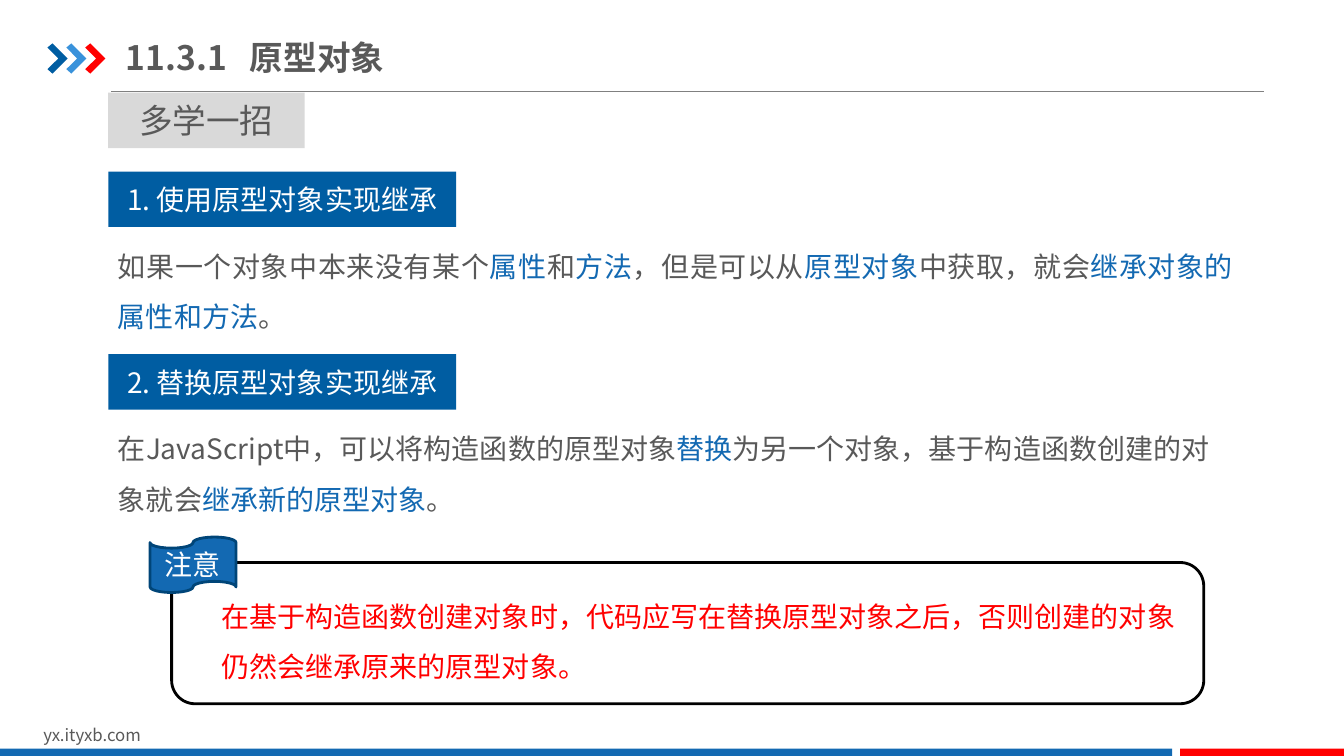
import pptx
import pptx.dml.color
import pptx.enum.shapes
import pptx.enum.text
import pptx.oxml.ns
import pptx.util
from dataclasses import dataclass
from lxml import etree

Pt = pptx.util.Pt
SHAPE = pptx.enum.shapes.MSO_SHAPE
ALIGN = pptx.enum.text.PP_ALIGN
ANCHOR = pptx.enum.text.MSO_ANCHOR
AUTO = pptx.enum.text.MSO_AUTO_SIZE


@dataclass(frozen=True)
class Theme:
    font: str = "Noto Sans CJK SC"
    title: int = 24
    body: int = 20
    footer: int = 12
    ink: str = "595959"
    blue: str = "1369B2"
    deep: str = "005DA2"
    sky: str = "3992DB"
    navy: str = "004578"
    red: str = "FF0000"
    gray: str = "D9D9D9"
    rule: str = "808080"
    white: str = "FFFFFF"
    black: str = "000000"


def rgb(value):
    return pptx.dml.color.RGBColor.from_string(value)


def set_formats(target, formats):
    for name, value in formats.items():
        setattr(target, name, value)


def add_element(parent, tag, **attributes):
    return etree.SubElement(parent, pptx.oxml.ns.qn(tag), attributes)


class SlideBuilder:
    def __init__(self, prs, theme):
        self.theme = theme
        self.s = prs.slides.add_slide(prs.slide_layouts[6])

    def paint(self, sp, fill=None, line=None, width=2):
        sp.shadow.inherit = False
        if fill:
            sp.fill.solid()
            sp.fill.fore_color.rgb = rgb(fill)
        else:
            sp.fill.background()
        if line:
            sp.line.color.rgb = rgb(line)
            sp.line.width = Pt(width)
        else:
            sp.line.fill.background()

    def fill_text(self, sp, text, size, color, bold=None, tab=None, frame=None, **paragraph):
        tf = sp.text_frame
        set_formats(tf, {"word_wrap": True, **(frame or {})})
        p = tf.paragraphs[0]
        set_formats(p, paragraph)
        if tab:
            tabs = add_element(p._p.get_or_add_pPr(), "a:tabLst")
            add_element(tabs, "a:tab", pos=str(Pt(tab)), algn="l")
        for index, part in enumerate(text.split("|")):
            r = p.add_run()
            r.text = part
            set_formats(r.font, {"name": self.theme.font, "size": Pt(size), "bold": bold})
            r.font.color.rgb = rgb(self.theme.blue if index % 2 else color)
            add_element(r.font._element, "a:ea", typeface=self.theme.font)

    def shape(self, kind, box, **style):
        sp = self.s.shapes.add_shape(kind, *map(Pt, box))
        self.paint(sp, **style)
        return sp

    def label(self, kind, box, text, size, color, **style):
        sp = self.shape(kind, box, **style)
        self.fill_text(sp, text, size, color, alignment=ALIGN.CENTER,
                       frame={"vertical_anchor": ANCHOR.MIDDLE})

    def text(self, box, text, size, color, **formats):
        sp = self.s.shapes.add_textbox(*map(Pt, box))
        self.fill_text(sp, text, size, color, **formats)

    def body(self, box, text, color, **formats):
        self.text(box, text, self.theme.body, color, line_spacing=1.5,
                  frame={"auto_size": AUTO.SHAPE_TO_FIT_TEXT}, **formats)

    def line(self, x1, y1, x2, y2, color, width):
        straight = pptx.enum.shapes.MSO_CONNECTOR.STRAIGHT
        connector = self.s.shapes.add_connector(straight, *map(Pt, (x1, y1, x2, y2)))
        connector.line.color.rgb = rgb(color)
        connector.line.width = Pt(width)
        add_element(connector._element.spPr, "a:effectLst")

    def chevron(self, left, top, color):
        outline = [(0, 3), (3.6, 0), (14.4, 10.8), (3.6, 21.6), (0, 18.4), (7.8, 10.8)]
        points = [(Pt(left + x), Pt(top + y)) for x, y in outline]
        builder = self.s.shapes.build_freeform(*points[0], scale=1.0)
        builder.add_line_segments(points[1:], close=True)
        self.paint(builder.convert_to_shape(), fill=color)


def main():
    prs = pptx.Presentation()
    set_formats(prs, {"slide_width": Pt(960), "slide_height": Pt(540)})
    t = Theme()
    slide = SlideBuilder(prs, t)

    slide.line(79.2, 65.5, 903, 65.5, t.rule, 0.75)
    for index, color in enumerate((t.deep, t.sky, t.red)):
        slide.chevron(33.9 + 13.5 * index, 31, color)
    slide.text((23.8, 514, 229, 21.8), "yx.ityxb.com", t.footer, t.ink,
               frame={"auto_size": AUTO.SHAPE_TO_FIT_TEXT})
    for left, width, color in ((0, 837.2, t.blue), (843, 117, t.red)):
        slide.shape(SHAPE.RECTANGLE, (left, 534.8, width, 6.2), fill=color)

    slide.text((90, 21, 306.7, 39.6), "11.3.1\t原型对象", t.title, t.ink, bold=True, tab=88.5,
               frame={"vertical_anchor": ANCHOR.MIDDLE, "margin_left": 0, "margin_right": 0,
                      "margin_top": Pt(5), "margin_bottom": Pt(5)})
    slide.label(SHAPE.RECTANGLE, (77.2, 66.2, 140.4, 39.6), "多学一招", t.title, t.ink,
                fill=t.gray)

    sections = [
        (122.5, "1. 使用原型对象实现继承", ALIGN.JUSTIFY,
         "如果一个对象中本来没有某个|属性|和|方法|，但是可以从|原型对象|中获取，就会|继承对象的属性和方法|。"),
        (253, "2. 替换原型对象实现继承", ALIGN.LEFT,
         "在JavaScript中，可以将构造函数的原型对象|替换|为另一个对象，基于构造函数创建的对象就会|继承新的原型对象|。"),
    ]
    for top, heading, alignment, text in sections:
        slide.label(SHAPE.RECTANGLE, (77.4, top, 248.4, 39.6), heading, t.body, t.white,
                    fill=t.deep)
        slide.body((77.2, top + 39.8, 810.7, 79.9), text, t.ink, alignment=alignment)

    slide.shape(SHAPE.ROUNDED_RECTANGLE, (122.6, 401.8, 737.3, 100.9), line=t.black)
    slide.label(SHAPE.FLOWCHART_PUNCHED_TAPE, (107.2, 383.6, 61.4, 39.6), "注意", t.body,
                t.white, fill=t.blue, line=t.navy)
    slide.body((151.2, 412.6, 702.7, 79.9),
               "在基于构造函数创建对象时，代码应写在替换原型对象之后，否则创建的对象仍然会继承原来的原型对象。",
               t.red)
    prs.save("out.pptx")


if __name__ == "__main__":
    main()
